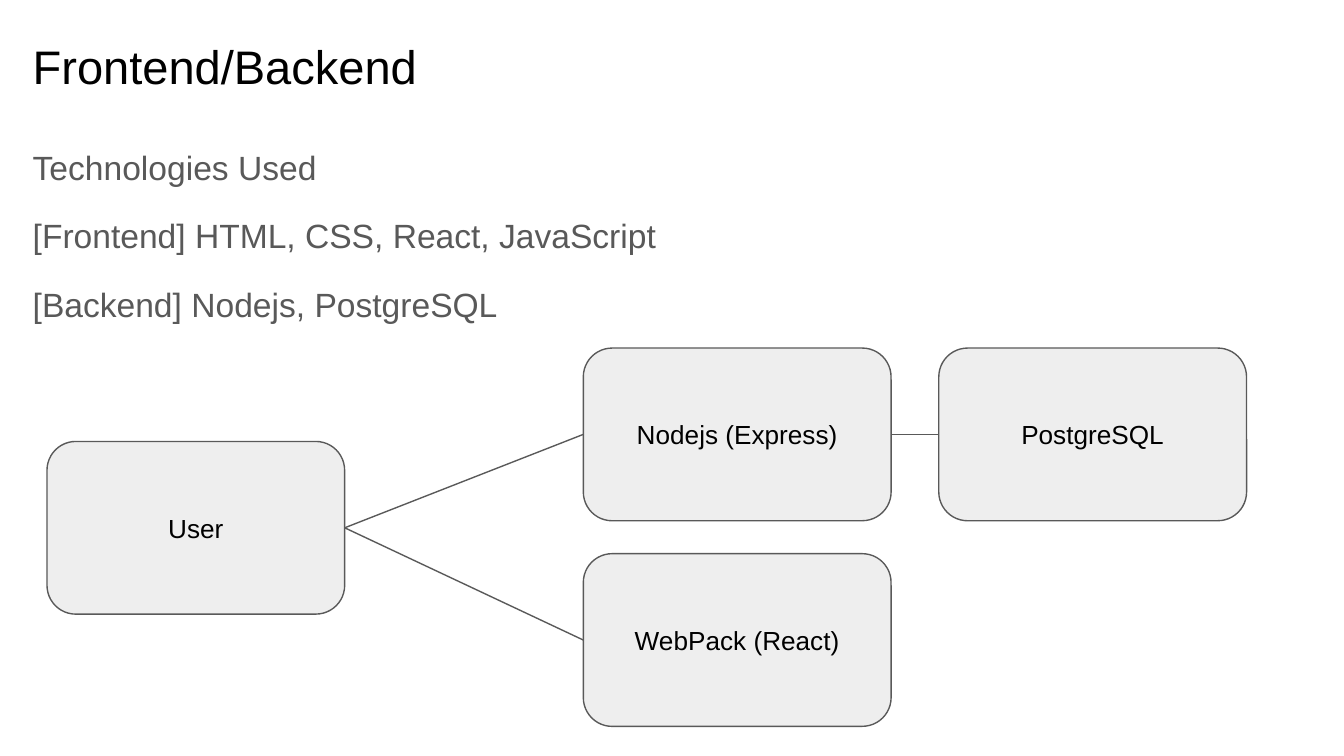
from lxml.etree import SubElement
from pptx import Presentation
from pptx.dml.color import RGBColor
from pptx.enum.shapes import MSO_CONNECTOR, MSO_SHAPE
from pptx.enum.text import MSO_ANCHOR, PP_ALIGN
from pptx.oxml.ns import qn
from pptx.util import Pt

PX = 4572  # 200 px to the inch
INSET = 20 * PX
BLACK, GREY, PALE = "000000", "595959", "EEEEEE"


def color(hex_value):
    return RGBColor.from_string(hex_value)


def write(shape, *lines, size, ink=BLACK, align=PP_ALIGN.LEFT,
          anchor=MSO_ANCHOR.TOP, spacing=1.0, gap=0):
    frame = shape.text_frame
    frame.word_wrap = True
    frame.vertical_anchor = anchor
    frame.margin_left = frame.margin_right = INSET
    frame.margin_top = frame.margin_bottom = INSET
    for i, line in enumerate(lines):
        paragraph = frame.add_paragraph() if i else frame.paragraphs[0]
        paragraph.alignment = align
        paragraph.line_spacing = spacing
        paragraph.space_before = Pt(gap if i else 0)
        run = paragraph.add_run()
        run.text = line
        run.font.name = "Arial"
        run.font.size = Pt(size)
        run.font.color.rgb = color(ink)


deck = Presentation()
deck.slide_width, deck.slide_height = 2000 * PX, 1125 * PX
slide = deck.slides.add_slide(deck.slide_layouts[6])
shapes = slide.shapes

# Heading and technology list
heading = shapes.add_textbox(29 * PX, 36 * PX, 1864 * PX, 126 * PX)
write(heading, "Frontend/Backend", size=25.2)
technologies = shapes.add_textbox(29 * PX, 189 * PX, 1864 * PX, 748 * PX)
write(technologies, "Technologies Used",
      "[Frontend] HTML, CSS, React, JavaScript",
      "[Backend] Nodejs, PostgreSQL",
      size=18, ink=GREY, spacing=1.15, gap=12)

# Architecture nodes: label, left, top, width
nodes = {}
for label, left, top, width in [
    ("WebPack (React)", 868, 824, 458),
    ("Nodejs (Express)", 868, 518, 458),
    ("User", 70, 657, 443),
    ("PostgreSQL", 1397, 518, 458),
]:
    node = shapes.add_shape(MSO_SHAPE.ROUNDED_RECTANGLE,
                            left * PX, top * PX, width * PX, 257 * PX)
    node.shadow.inherit = False
    node.fill.solid()
    node.fill.fore_color.rgb = color(PALE)
    node.line.color.rgb = color(GREY)
    node.line.width = Pt(0.75)
    write(node, label, size=14, align=PP_ALIGN.CENTER, anchor=MSO_ANCHOR.MIDDLE)
    nodes[label] = node

# Links from right side to left side
for source, target in [
    ("User", "Nodejs (Express)"),
    ("User", "WebPack (React)"),
    ("Nodejs (Express)", "PostgreSQL"),
]:
    link = shapes.add_connector(MSO_CONNECTOR.STRAIGHT, 0, 0, 0, 0)
    link.begin_connect(nodes[source], 3)
    link.end_connect(nodes[target], 1)
    link.line.color.rgb = color(GREY)
    link.line.width = Pt(0.75)
    SubElement(link._element.spPr, qn("a:effectLst"))

deck.save("out.pptx")
